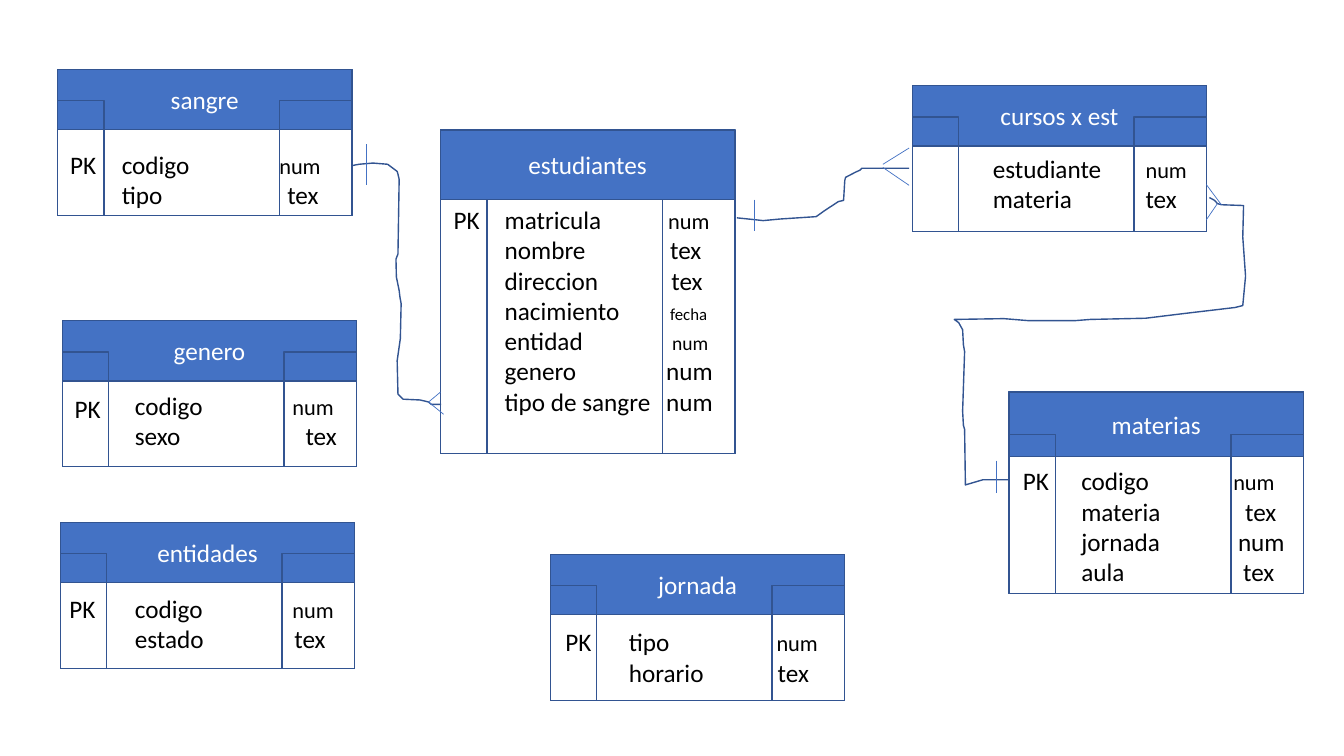
from dataclasses import dataclass
from typing import NamedTuple, Optional

import lxml.etree
import pptx
import pptx.dml.color
import pptx.enum.shapes
import pptx.enum.text
import pptx.oxml
import pptx.oxml.ns
import pptx.util

Cm = pptx.util.Cm
Pt = pptx.util.Pt
qn = pptx.oxml.ns.qn

COLORS = {"header": "4472C4", "outline": "325491", "title": "FFFFFF", "text": "000000"}
FONT = "Calibri"
TABLE_W, KEY_W, TYPE_W = 7.42, 1.17, 1.83
INSET = 0.25


class Point(NamedTuple):
    x: float
    y: float


class Field(NamedTuple):
    name: str
    kind: str
    tab: float
    size: int = 18


@dataclass
class Entity:
    name: str
    at: Point
    fields_at: Point
    key_at: Optional[Point]
    fields: list[Field]
    height: float = 3.68
    header_h: float = 1.52
    column_drop: float = 0.79


@dataclass
class Relation:
    path_points: list[tuple[float, float]]
    marks: list[tuple[float, float, float, float]]


ENTITIES = [
    Entity("estudiantes", Point(11.1, 3.28), Point(12.47, 5.03), Point(11.18, 5.03), [
        Field("matricula", "num", 4.12, 16),
        Field("nombre", "tex", 4.17),
        Field("direccion", "tex", 4.2),
        Field("nacimiento", "fecha", 4.17, 12),
        Field("entidad", "num", 4.22, 14),
        Field("genero", "num", 4.07),
        Field("tipo de sangre", "num", 4.07),
    ], height=8.15, header_h=1.75, column_drop=1.75),
    Entity("sangre", Point(1.45, 1.75), Point(2.82, 3.63), Point(1.52, 3.63),
           [Field("codigo", "num", 3.97, 16), Field("tipo", "tex", 4.17)]),
    Entity("entidades", Point(1.52, 13.16), Point(3.15, 14.83), Point(1.5, 14.83),
           [Field("codigo", "num", 3.97, 16), Field("estado", "tex", 4.02)]),
    Entity("genero", Point(1.57, 8.08), Point(3.15, 9.7), Point(1.63, 9.78),
           [Field("codigo", "num", 3.97, 16), Field("sexo", "tex", 4.3)]),
    Entity("materias", Point(25.43, 9.88), Point(27, 11.61), Point(25.53, 11.61), [
        Field("codigo", "num", 3.83, 16),
        Field("materia", "tex", 4.13),
        Field("jornada", "num", 3.95),
        Field("aula", "tex", 4.08),
    ], height=5.08, header_h=1.63, column_drop=1.07),
    Entity("jornada", Point(13.87, 13.97), Point(15.6, 15.67), Point(14, 15.67),
           [Field("tipo", "num", 3.72, 16), Field("horario", "tex", 3.75)]),
    Entity("cursos x est", Point(22.99, 2.16), Point(24.77, 3.73), None,
           [Field("estudiante", "num", 3.85, 16), Field("materia", "tex", 3.85)]),
]

RELATIONS = [
    Relation(  # sangre - estudiantes
        [(8.89, 4.17), (9.05, 4.14), (9.4, 4.11), (9.77, 4.14), (10.01, 4.32),
         (10.03, 4.39), (10.06, 4.52), (10.03, 6.4), (9.98, 6.53), (9.99, 6.98),
         (10.06, 7.32), (10.08, 7.49), (10.11, 7.65), (10.09, 8.53), (10.01, 9.09),
         (10.03, 9.93), (10.16, 10.06), (10.59, 10.08), (10.8, 10.13),
         (10.87, 10.19), (11.12, 10.19)],
        [(9.22, 3.63, 9.22, 4.67), (10.8, 10.13, 11.1, 9.88), (10.8, 10.13, 11.18, 10.44)]),
    Relation(  # estudiantes - cursos x est
        [(18.57, 5.49), (18.96, 5.53), (19.23, 5.56), (19.67, 5.52), (20.57, 5.46),
         (20.78, 5.31), (21.13, 5.08), (21.26, 5.05), (21.29, 4.55), (21.31, 4.47),
         (21.56, 4.34), (21.67, 4.29), (21.72, 4.24), (22.91, 4.24)],
        [(19, 5.03, 19, 5.82), (22.25, 4.14, 22.91, 3.73), (22.25, 4.22, 22.91, 4.67)]),
    Relation(  # cursos x est - materias
        [(30.48, 4.98), (30.61, 5.05), (30.68, 5.13), (30.78, 5.16), (31.34, 5.18),
         (31.32, 5.97), (31.39, 6.96), (31.32, 7.7), (31.12, 7.75), (29.85, 7.9),
         (28.87, 8.02), (27.48, 8.05), (27.1, 8.08), (25.91, 8.08), (25.3, 8.03),
         (24.05, 8.05), (24.16, 8.13), (24.26, 8.31), (24.28, 8.69), (24.31, 8.86),
         (24.26, 10.36), (24.28, 10.72), (24.31, 10.82), (24.33, 12.22),
         (24.77, 12.09), (25.43, 12.09)],
        [(25.1, 11.61, 25.1, 12.42), (30.78, 5.16, 30.4, 4.65), (30.68, 5.13, 30.4, 5.54)]),
]


def rgb(name: str) -> pptx.dml.color.RGBColor:
    return pptx.dml.color.RGBColor.from_string(COLORS[name])


def set_font(p, color: str) -> None:
    p.font.name = FONT
    p.font.size = Pt(18)
    p.font.color.rgb = rgb(color)


def outline(sp) -> None:
    sp.shadow.inherit = False
    sp.fill.background()
    sp.line.color.rgb = rgb("outline")
    sp.line.width = Pt(1)


def add_box(shapes, x: float, y: float, w: float, h: float):
    sp = shapes.add_shape(pptx.enum.shapes.MSO_SHAPE.RECTANGLE, Cm(x), Cm(y), Cm(w), Cm(h))
    outline(sp)
    return sp


def add_text_box(s, at: Point, w: float, h: float, wrap: bool):
    tf = s.shapes.add_textbox(Cm(at.x), Cm(at.y), Cm(w), Cm(h)).text_frame
    tf.word_wrap = wrap
    tf.auto_size = pptx.enum.text.MSO_AUTO_SIZE.SHAPE_TO_FIT_TEXT
    tf.margin_left = tf.margin_right = Cm(INSET)
    return tf


def add_tab_stop(p, position: float) -> None:
    tabs = lxml.etree.Element(qn("a:tabLst"))
    lxml.etree.SubElement(tabs, qn("a:tab"), pos=str(Cm(position)), algn="l")
    p._p.get_or_add_pPr().insert(0, tabs)


def add_entity(s, e: Entity) -> None:
    shapes = s.shapes.add_group_shape().shapes
    x, y = e.at
    add_box(shapes, x, y, TABLE_W, e.height)
    header = add_box(shapes, x, y, TABLE_W, e.header_h)
    header.fill.solid()
    header.fill.fore_color.rgb = rgb("header")
    tf = header.text_frame
    tf.vertical_anchor = pptx.enum.text.MSO_ANCHOR.MIDDLE
    tf.text = e.name
    tf.paragraphs[0].alignment = pptx.enum.text.PP_ALIGN.CENTER
    set_font(tf.paragraphs[0], "title")
    for column_x, w in ((x, KEY_W), (x + TABLE_W - TYPE_W, TYPE_W)):
        add_box(shapes, column_x, y + e.column_drop, w, e.height - e.column_drop)

    tf = add_text_box(s, e.fields_at, 5.84, 0.25 + 0.77 * len(e.fields), True)
    for i, field in enumerate(e.fields):
        p = tf.add_paragraph() if i else tf.paragraphs[0]
        set_font(p, "text")
        add_tab_stop(p, field.tab)
        p.add_run().text = field.name + "\t"
        r = p.add_run()
        r.text = field.kind
        if field.size != 18:
            r.font.size = Pt(field.size)
    if e.key_at:
        tf = add_text_box(s, e.key_at, KEY_W, 1.02, False)
        tf.text = "PK"
        set_font(tf.paragraphs[0], "text")


def add_relation(s, relation: Relation) -> None:
    """Draw the path of a relation and the marks for one and many at its ends."""
    start, *rest = [(Cm(x), Cm(y)) for x, y in relation.path_points]
    builder = s.shapes.build_freeform(*start)
    builder.add_line_segments(rest, close=False)
    outline(builder.convert_to_shape())
    for mark in relation.marks:
        line = s.shapes.add_connector(
            pptx.enum.shapes.MSO_CONNECTOR.STRAIGHT, *(Cm(v) for v in mark))
        line.line.color.rgb = rgb("header")
        line.line.width = Pt(0.5)
        lxml.etree.SubElement(line._element.spPr, qn("a:effectLst"))


def main() -> None:
    prs = pptx.Presentation()
    prs.slide_width, prs.slide_height = Cm(33.87), Cm(19.05)
    s = prs.slides.add_slide(prs.slide_layouts[6])
    for entity in ENTITIES:
        add_entity(s, entity)
    for relation in RELATIONS:
        add_relation(s, relation)
    prs.save("out.pptx")


if __name__ == "__main__":
    main()
